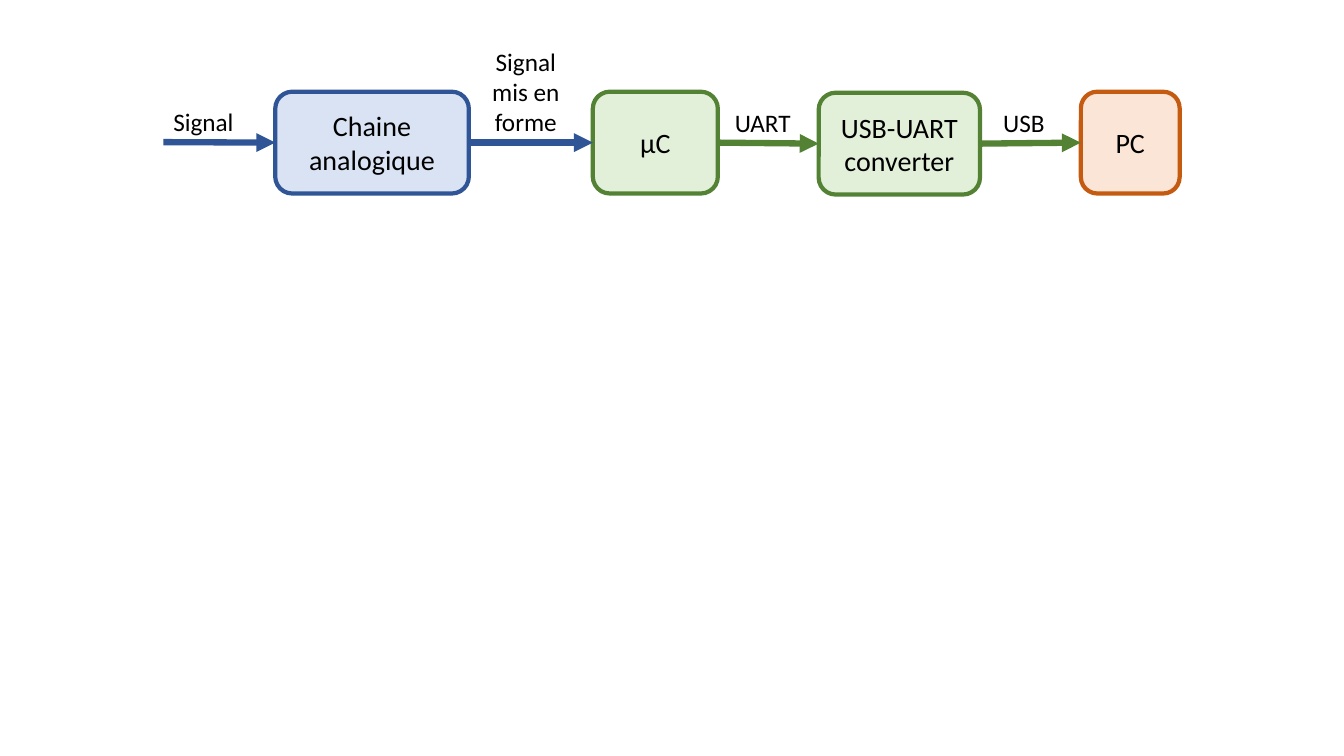
from lxml.etree import SubElement
from pptx import Presentation
from pptx.dml.color import RGBColor
from pptx.enum.shapes import MSO_CONNECTOR, MSO_SHAPE
from pptx.enum.text import MSO_ANCHOR, PP_ALIGN
from pptx.oxml.ns import qn
from pptx.util import Inches, Pt

BLUE, GREEN, ORANGE = "2F5597", "548235", "C55A11"
BLOCK_HEIGHT = 1.01

BLOCKS = [
    ("Chaine analogique", 2.73, 0.91, 1.92, "DAE3F3", BLUE),
    ("µC", 5.88, 0.91, 1.24, "E2F0D9", GREEN),
    ("USB-UART converter", 8.12, 0.92, 1.6, "E2F0D9", GREEN),
    ("PC", 10.72, 0.91, 0.98, "FBE5D6", ORANGE),
]
SIGNAL_START = (1.62, 1.41)
ARROW_COLORS = [BLUE, BLUE, GREEN, GREEN]
LABELS = [
    (["Signal"], 1.62, 1.01, 0.81, 0.4, PP_ALIGN.LEFT, False),
    (["Signal", "mis en forme"], 4.66, 0.41, 1.11, 1.01, PP_ALIGN.CENTER, True),
    (["UART"], 7.01, 1.02, 1.11, 0.4, PP_ALIGN.CENTER, True),
    (["USB"], 9.6, 1.02, 1.11, 0.4, PP_ALIGN.CENTER, True),
]


def rgb(color):
    return RGBColor.from_string(color)


def write(frame, lines, size, align):
    frame.text = "\n".join(lines)
    for paragraph in frame.paragraphs:
        paragraph.alignment = align
        paragraph.font.name = "Calibri"
        paragraph.font.size = Pt(size)
        paragraph.font.color.rgb = rgb("000000")


def add_block(slide, name, left, top, width, fill, outline):
    block = slide.shapes.add_shape(
        MSO_SHAPE.ROUNDED_RECTANGLE,
        Inches(left), Inches(top), Inches(width), Inches(BLOCK_HEIGHT))
    block.shadow.inherit = False
    block.fill.solid()
    block.fill.fore_color.rgb = rgb(fill)
    block.line.color.rgb = rgb(outline)
    block.line.width = Pt(3)
    block.text_frame.word_wrap = True
    block.text_frame.vertical_anchor = MSO_ANCHOR.MIDDLE
    write(block.text_frame, [name], 20, PP_ALIGN.CENTER)


def add_arrow(slide, start, end, color):
    arrow = slide.shapes.add_connector(
        MSO_CONNECTOR.STRAIGHT, *map(Inches, start + end))
    arrow.line.color.rgb = rgb(color)
    arrow.line.width = Pt(4.5)
    SubElement(arrow.line._get_or_add_ln(), qn("a:tailEnd"), type="triangle")
    SubElement(arrow._element.spPr, qn("a:effectLst"))


def add_label(slide, lines, left, top, width, height, align, wrap):
    label = slide.shapes.add_textbox(
        Inches(left), Inches(top), Inches(width), Inches(height))
    label.text_frame.word_wrap = wrap
    write(label.text_frame, lines, 18, align)


def main():
    deck = Presentation()
    deck.slide_width, deck.slide_height = Inches(13.33), Inches(7.5)
    slide = deck.slides.add_slide(deck.slide_layouts[6])

    start = SIGNAL_START
    for block, color in zip(BLOCKS, ARROW_COLORS):
        _, left, top, width, _, _ = block
        middle = top + BLOCK_HEIGHT / 2
        add_block(slide, *block)
        add_arrow(slide, start, (left, middle), color)
        start = (left + width, middle)

    for label in LABELS:
        add_label(slide, *label)

    deck.save("out.pptx")


if __name__ == "__main__":
    main()
